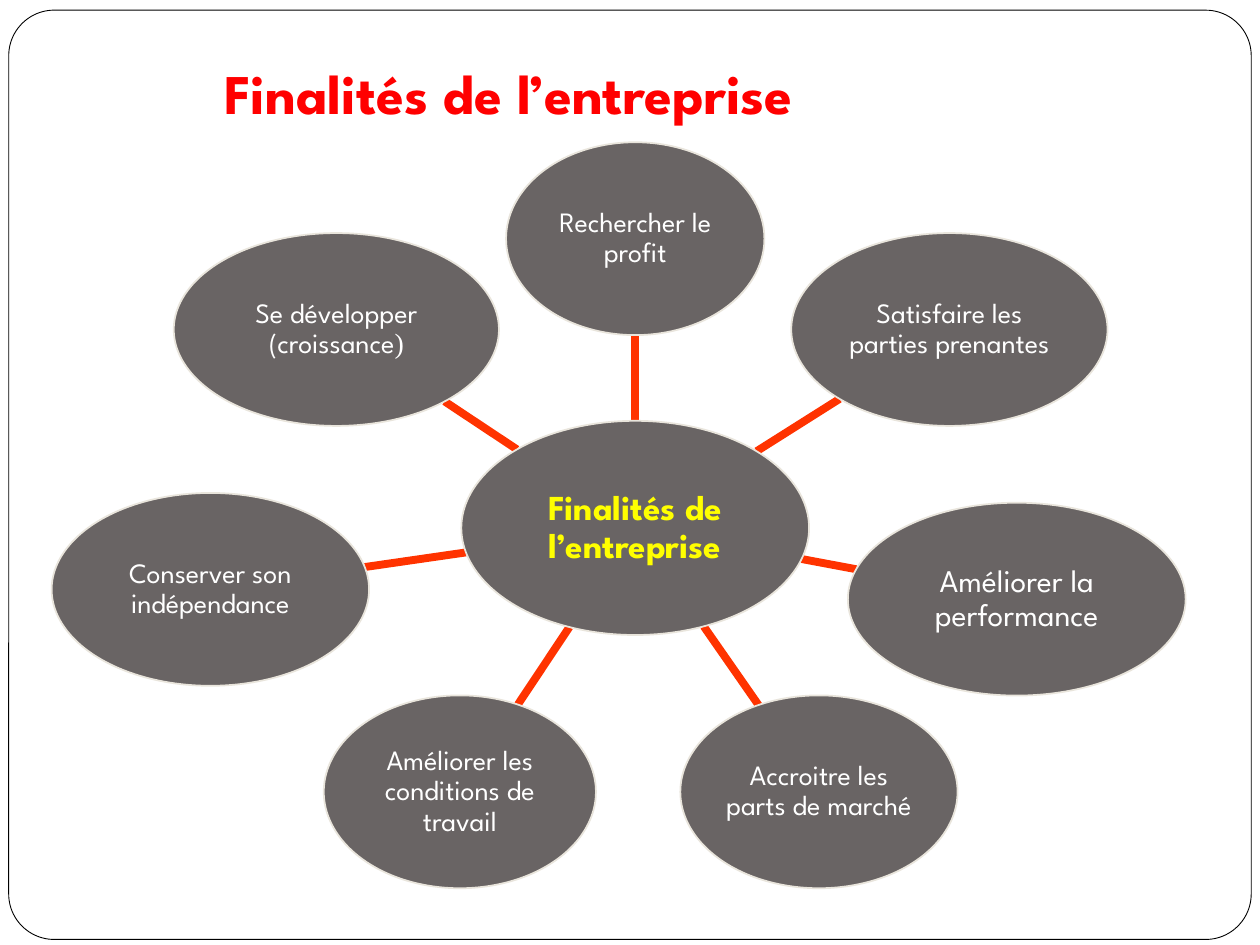
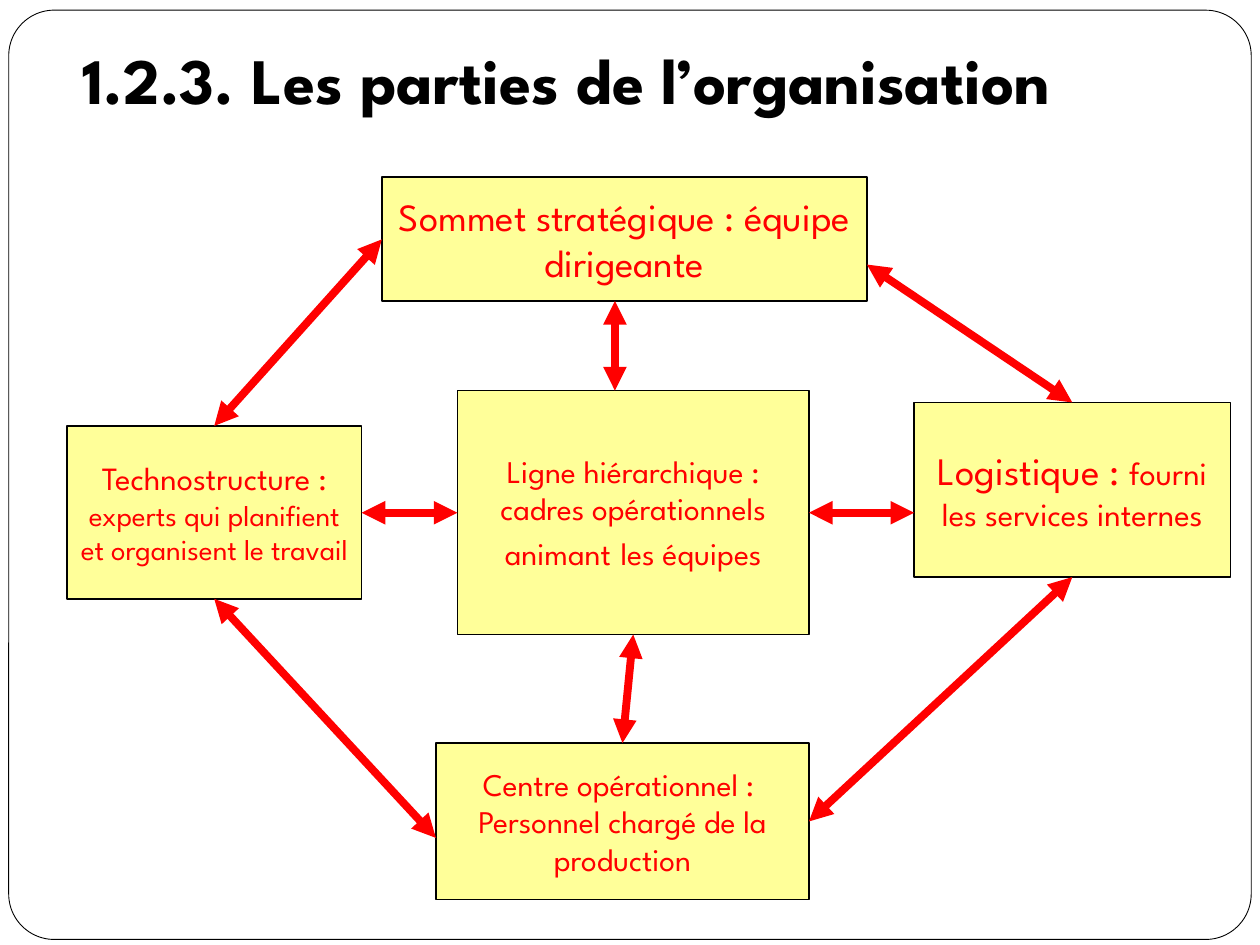
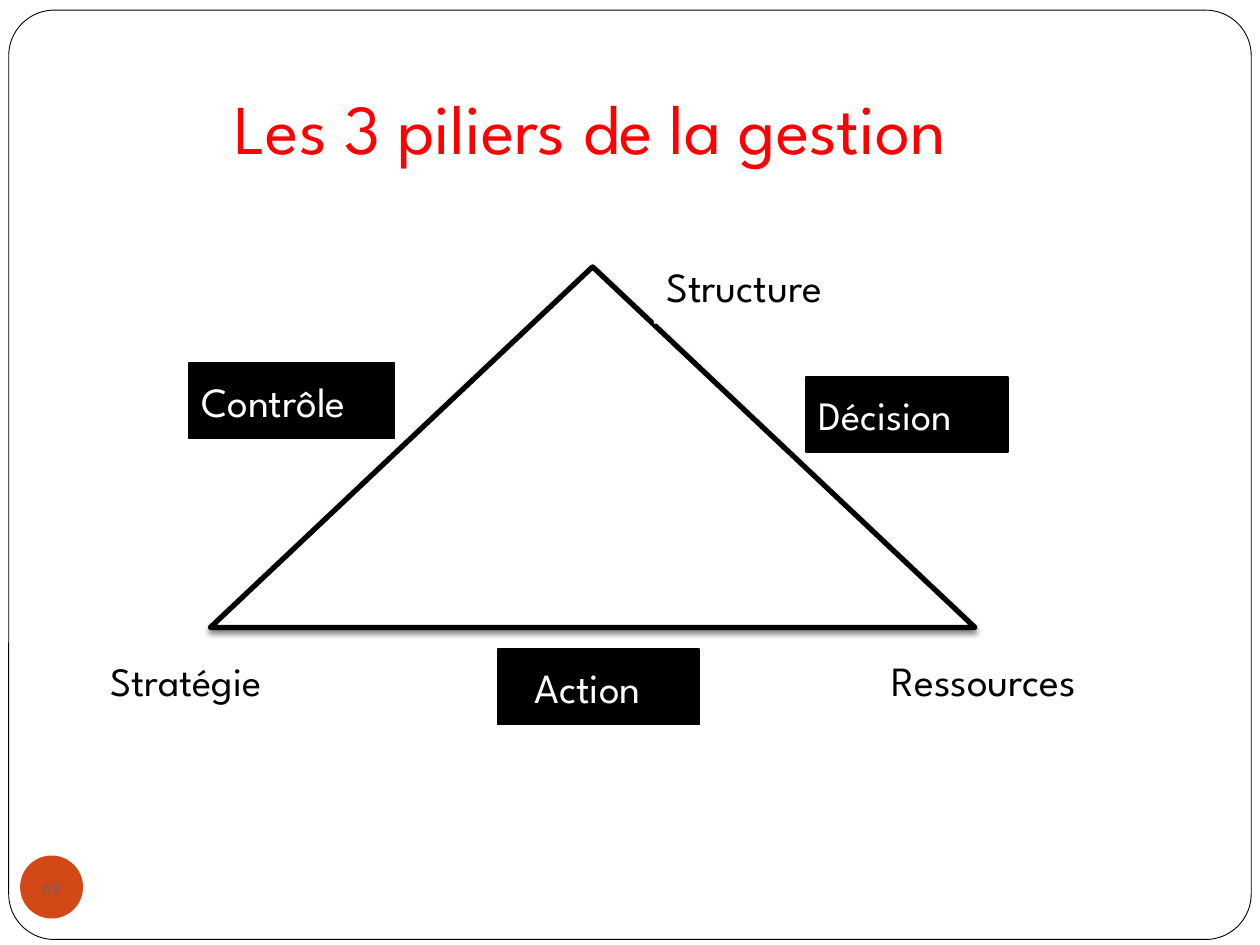
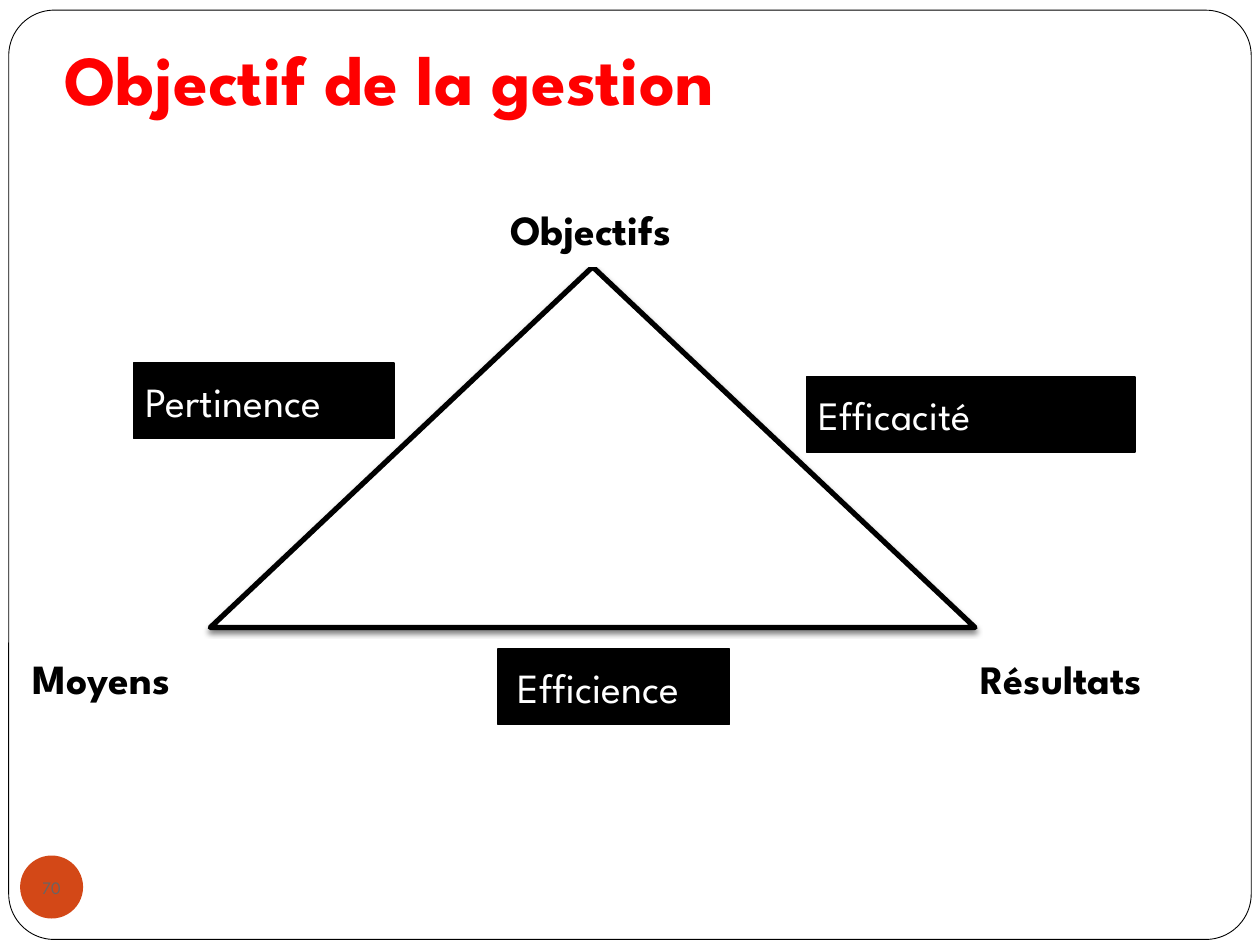
from dataclasses import dataclass
from math import hypot

from lxml.etree import SubElement
from pptx import Presentation
from pptx.dml.color import RGBColor
from pptx.enum.shapes import MSO_CONNECTOR as Wire, MSO_SHAPE as Form
from pptx.enum.text import MSO_ANCHOR as Anchor, PP_ALIGN as Align
from pptx.oxml.ns import qn
from pptx.util import Pt

FONT = "League Spartan"
WHITE = RGBColor(0xFF, 0xFF, 0xFF)
BLACK = RGBColor(0x00, 0x00, 0x00)
RED = RGBColor(0xFF, 0x00, 0x00)
YELLOW = RGBColor(0xFF, 0xFF, 0x00)
CREAM = RGBColor(0xFF, 0xFF, 0x99)
GREY = RGBColor(0x69, 0x64, 0x64)
SAND = RGBColor(0xE9, 0xE5, 0xDC)
FLAME = RGBColor(0xFF, 0x33, 0x00)
RUST = RGBColor(0xD3, 0x48, 0x17)

SPOKE_H = 110.2
LABEL_H = 43.2
TIGHT = (0.7, 0.7, 0.7, 0.7)
LOOSE = (7.2, 3.6, 7.2, 3.6)
HEAD = (7.2, 3.6, 7.2, 7.2)


@dataclass(frozen=True)
class Run:
    text: str
    size: float
    color: RGBColor = BLACK
    bold: bool = False
    font: str = FONT


@dataclass(frozen=True)
class Box:
    left: float
    top: float
    width: float
    height: float

    def lengths(self) -> list:
        return [Pt(v) for v in (self.left, self.top, self.width, self.height)]


@dataclass(frozen=True)
class Oval:
    x: float
    y: float
    width: float
    height: float
    runs: tuple

    def box(self) -> Box:
        return Box(self.x - self.width / 2, self.y - self.height / 2,
                   self.width, self.height)

    def edge(self, other: "Oval") -> tuple:
        dx, dy = other.x - self.x, other.y - self.y
        ratio = 1 / hypot(2 * dx / self.width, 2 * dy / self.height)
        return self.x + ratio * dx, self.y + ratio * dy


@dataclass(frozen=True)
class Label:
    left: float
    top: float
    width: float
    run: Run
    dark: bool = False
    shift: float = 0


@dataclass(frozen=True)
class Card:
    box: Box
    paras: tuple


def write(shape, paras, align=Align.LEFT, anchor=Anchor.MIDDLE,
          insets=LOOSE, space=None) -> None:
    frame = shape.text_frame
    frame.word_wrap = True
    frame.vertical_anchor = anchor
    (frame.margin_left, frame.margin_top,
     frame.margin_right, frame.margin_bottom) = [Pt(v) for v in insets]
    for i, runs in enumerate(paras):
        para = frame.add_paragraph() if i else frame.paragraphs[0]
        para.alignment = align
        para.line_spacing = space
        for item in runs:
            run = para.add_run()
            run.text = item.text
            run.font.name = item.font
            run.font.size = Pt(item.size)
            run.font.bold = item.bold
            run.font.color.rgb = item.color


def draw(slide, form, box: Box, fill, line=None, weight=1.0):
    shape = slide.shapes.add_shape(form, *box.lengths())
    shape.shadow.inherit = False
    shape.fill.solid()
    shape.fill.fore_color.rgb = fill
    if line is None:
        shape.line.fill.background()
    else:
        shape.line.color.rgb = line
        shape.line.width = Pt(weight)
    return shape


def link(slide, start: tuple, end: tuple, color, heads=False) -> None:
    wire = slide.shapes.add_connector(
        Wire.STRAIGHT, *[Pt(v) for v in (*start, *end)])
    wire.line.color.rgb = color
    wire.line.width = Pt(4.5)
    if heads:
        line = wire.line._get_or_add_ln()
        for tag in ("a:headEnd", "a:tailEnd"):
            SubElement(line, qn(tag), type="triangle")
    SubElement(wire._element.spPr, qn("a:effectLst"))


def start(deck, box: Box, title: Run):
    slide = deck.slides.add_slide(deck.slide_layouts[6])
    frame = draw(slide, Form.ROUNDED_RECTANGLE, Box(5, 5.8, 710, 531),
                 WHITE, BLACK, 0.5)
    frame.adjustments[0] = 0.049
    write(slide.shapes.add_textbox(*box.lengths()), [[title]],
          anchor=Anchor.BOTTOM, insets=HEAD)
    return slide


def shade(shape) -> None:
    effects = shape._element.spPr.find(qn("a:effectLst"))
    cast = SubElement(effects, qn("a:outerShdw"), blurRad=str(Pt(3)),
                      dist=str(Pt(2)), dir="5400000", rotWithShape="0")
    tint = SubElement(cast, qn("a:srgbClr"), val=str(BLACK))
    SubElement(tint, qn("a:alpha"), val="50000")


def goals(deck) -> None:
    slide = start(deck, Box(121, 26, 479.5, 53.3),
                  Run("Finalités de l’entreprise", 32, RED, True))

    def spoke(x: float, y: float, width: float, text: str,
              size: float = 16) -> Oval:
        return Oval(x, y, width, SPOKE_H, (Run(text, size, WHITE),))

    hub = Oval(363, 301.7, 198.7, 122.4,
               (Run("Finalités de l’entreprise", 20, YELLOW, True),))
    grow = Oval(192.2, 188.3, 185.8, SPOKE_H,
                (Run("Se développer (croissance", 16, WHITE),
                 Run(")", 16, WHITE, font="Times New Roman")))
    spokes = [
        spoke(363, 136.4, 147.6, "Rechercher le profit"),
        spoke(542.5, 188.3, 180.7, "Satisfaire les parties prenantes"),
        spoke(581, 342.4, 193, "Améliorer la performance", 18),
        spoke(468, 452.5, 158.4, "Accroitre les parts de marché"),
        spoke(262.8, 452.5, 155.5, "Améliorer les conditions de travail"),
        spoke(120.2, 336.8, 181.4, "Conserver son indépendance"),
        grow,
    ]
    for oval in spokes:
        link(slide, hub.edge(oval), oval.edge(hub), FLAME)
    for oval in [hub, *spokes]:
        shape = draw(slide, Form.OVAL, oval.box(), GREY, SAND)
        write(shape, [oval.runs], Align.CENTER, insets=TIGHT, space=0.9)


def parts(deck) -> None:
    slide = start(deck, Box(40.3, 23.8, 633.6, 50.4),
                  Run("1.2.3. Les parties de l’organisation", 37, BLACK, True))

    def red(text: str, size: float = 18) -> Run:
        return Run(text, size, RED)

    cards = [
        Card(Box(218.2, 101, 277.2, 71),
             ([red("Sommet stratégique : équipe dirigeante", 22)],)),
        Card(Box(38.2, 243.4, 168.5, 98.8),
             ([red("Technostructure : ", 18.5),
               red("experts qui planifient et organisent le travail", 16.6)],)),
        Card(Box(249.1, 424.6, 213.2, 89.4),
             ([red("Centre opérationnel : ")],
              [red("Personnel chargé de la production")])),
        Card(Box(261.4, 223.2, 200.9, 139.4),
             ([red("Ligne hiérarchique : cadres opérationnels animant"),
               red(" ", 22), red("les équipes")],)),
        Card(Box(522.4, 230, 180.7, 99.8),
             ([red("Logistique : ", 22.2),
               red("fourni les services internes", 18.5)],)),
    ]
    for card in cards:
        shape = draw(slide, Form.RECTANGLE, card.box, CREAM, BLACK)
        write(shape, card.paras, Align.CENTER)

    top, tech, core, line, aid = [card.box for card in cards]

    def right(box: Box) -> float:
        return box.left + box.width

    def foot(box: Box) -> float:
        return box.top + box.height

    def mid(box: Box) -> float:
        return box.left + box.width / 2

    level = 293
    stem = 351.4
    pairs = [
        ((mid(tech), tech.top), (top.left, 136.8)),
        ((right(top), 151.2), (mid(aid), aid.top)),
        ((mid(tech), foot(tech)), (core.left, 478.8)),
        ((mid(aid), foot(aid)), (right(core), 469.4)),
        ((right(tech), level), (line.left, level)),
        ((right(line), level), (aid.left, level)),
        ((mid(line), foot(line)), (mid(core), core.top)),
        ((stem, foot(top)), (stem, line.top)),
    ]
    for pair in pairs:
        link(slide, *pair, RED, heads=True)


def peak(deck, box: Box, title: Run, number: str, labels: list) -> None:
    slide = start(deck, box, title)
    badge = draw(slide, Form.OVAL, Box(11.5, 488.9, 36, 36), RUST)
    write(badge, [[Run(number, 10, GREY)]], Align.CENTER, insets=TIGHT)
    shape = draw(slide, Form.TRAPEZOID, Box(120.2, 152.6, 437, 206),
                 WHITE, BLACK, 3)
    shape.adjustments[0] = 1.06
    shade(shape)
    for label in labels:
        fill, line = (BLACK, BLACK) if label.dark else (WHITE, None)
        tag = draw(slide, Form.RECTANGLE,
                   Box(label.left, label.top, label.width, LABEL_H), fill, line)
        align = Align.CENTER if label.shift else Align.LEFT
        write(tag, [[label.run]], align,
              insets=(7.2, 3.6, 7.2 + label.shift, 3.6))


def main() -> None:
    deck = Presentation()
    deck.slide_width, deck.slide_height = Pt(720), Pt(540)
    goals(deck)
    parts(deck)
    peak(deck, Box(126.7, 60.5, 569.5, LABEL_H),
         Run("Les 3 piliers de la gestion", 40, RED), "69", [
             Label(373.7, 141.8, 129.6, Run("Structure", 23.7)),
             Label(502.6, 367.2, 146.2, Run("Ressources", 23.7)),
             Label(56.2, 367.2, 149, Run("Stratégie", 23)),
             Label(460.8, 215.3, 115.2, Run("Décision", 23, WHITE), True),
             Label(284.4, 370.8, 115.2, Run("Action", 23.7, WHITE), True, 12),
             Label(108, 207.4, 117.4, Run("Contrôle", 23.7, WHITE), True),
         ])
    peak(deck, Box(29.5, 32.4, 569.5, LABEL_H),
         Run("Objectif de la gestion", 40, RED, True), "70", [
             Label(284.4, 109.4, 129.6, Run("Objectifs", 23.7, bold=True)),
             Label(553, 365.8, 145.4, Run("Résultats", 23, bold=True)),
             Label(11.5, 365.8, 149, Run("Moyens", 23.7, bold=True)),
             Label(460.8, 215.3, 187.9, Run("Efficacité", 23, WHITE), True),
             Label(284.4, 370.8, 132.5, Run("Efficience", 23.7, WHITE), True, 17),
             Label(76.3, 207.4, 149, Run("Pertinence", 23.7, WHITE), True),
         ])
    deck.save("out.pptx")


if __name__ == "__main__":
    main()
